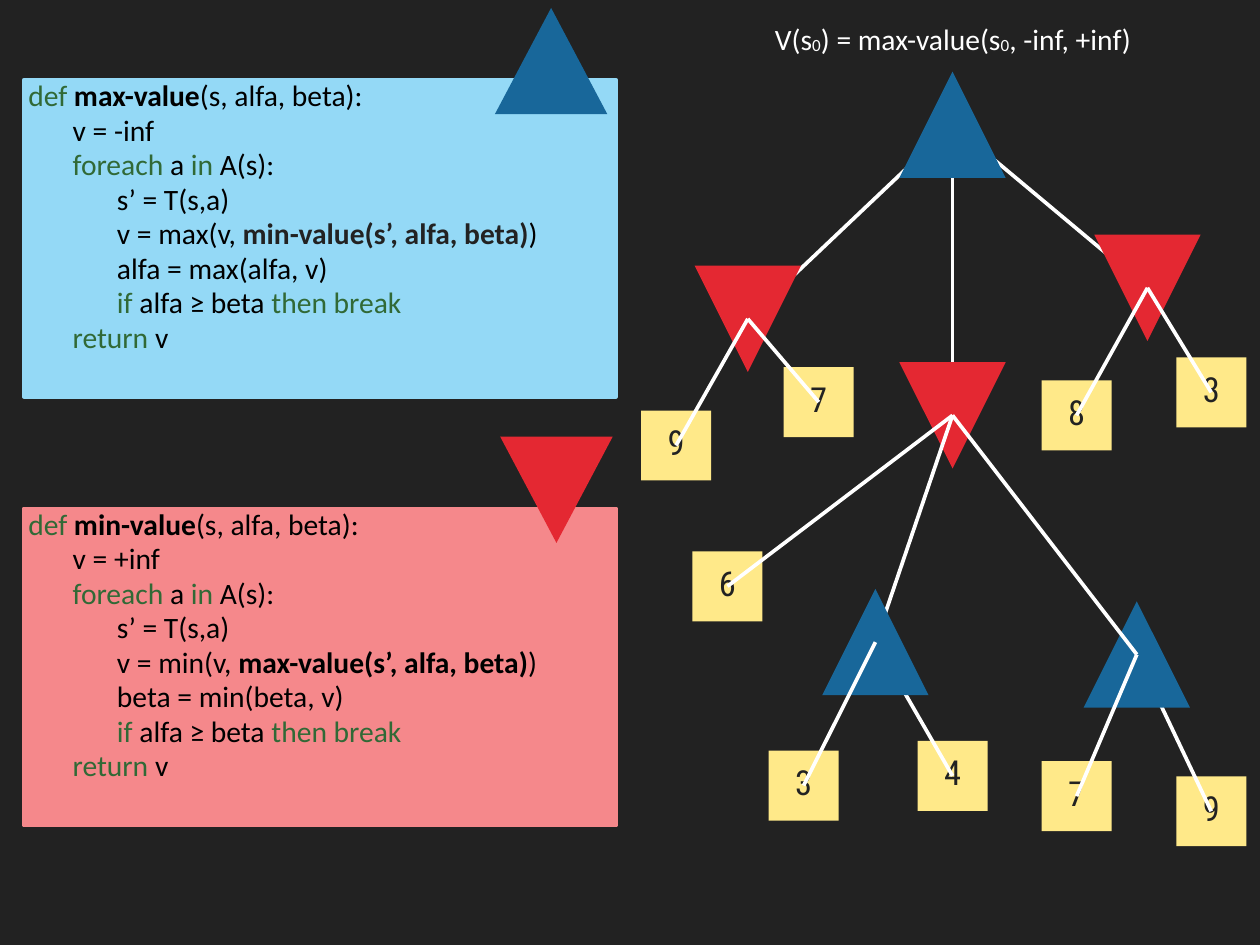
import pptx
import pptx.util
import pptx.dml.color
import pptx.enum.shapes
import pptx.enum.text
import pptx.oxml
from dataclasses import dataclass
from pptx.util import Inches


@dataclass(frozen=True)
class Theme:
    dark: str = "222222"
    white: str = "FFFFFF"
    black: str = "000000"
    keyword: str = "316936"
    max_panel: str = "94D9F6"
    min_panel: str = "F5888B"
    max_node: str = "18679A"
    min_node: str = "E42832"
    leaf: str = "FFE989"
    code_font: str = "Calibri"
    leaf_font: str = "Roboto Condensed"
    code_size: int = 24
    leaf_size: int = 28
    line_width: int = 3


T = Theme()
NODE_SIZE = 1.2
LEAF_SIZE = 0.79

# Tree nodes by centre point
MAX_NODES = {"root": (10.75, 1.41), "max_left": (9.88, 7.25), "max_right": (12.83, 7.39)}
MIN_NODES = {"min_left": (8.44, 3.6), "min_mid": (10.75, 4.69), "min_right": (12.95, 3.25)}
LEAVES = {
    "left_9": (7.63, 5.03), "left_7": (9.24, 4.54), "mid_6": (8.21, 6.62),
    "right_8": (12.15, 4.69), "right_3": (13.67, 4.43),
    "deep_3": (9.07, 8.87), "deep_4": (10.75, 8.76),
    "deep_7": (12.15, 8.99), "deep_9": (13.67, 9.16),
}
CENTRES = {**MAX_NODES, **MIN_NODES, **LEAVES}

# Edges by layer, from back to front
ROOT_EDGES = [("root", "min_mid"), ("min_left", "root"), ("root", "min_right")]
MIDDLE_EDGES = [
    ("min_right", "right_3"), ("min_left", "left_7"), ("left_9", "min_left"),
    ("max_left", "deep_4"), ("mid_6", "min_mid"), ("max_left", "min_mid"),
    ("right_8", "min_right"), ("max_right", "deep_9"),
]
FRONT_EDGES = [("deep_3", "max_left"), ("deep_7", "max_right"), ("min_mid", "max_right")]


def rgb(colour):
    return pptx.dml.color.RGBColor.from_string(colour)


def set_font(font, name, size, colour):
    font.name = name
    font.size = pptx.util.Pt(size)
    font.color.rgb = rgb(colour)


def set_frame(tf, inset):
    tf.word_wrap = True
    tf.margin_left = tf.margin_right = tf.margin_top = tf.margin_bottom = Inches(inset)


def add_centred(s, kind, x, y, w, h, fill):
    sp = s.shapes.add_shape(kind, Inches(x - w / 2), Inches(y - h / 2), Inches(w), Inches(h))
    sp.shadow.inherit = False
    sp.fill.solid()
    sp.fill.fore_color.rgb = rgb(fill)
    sp.line.fill.background()
    return sp


def add_triangle(s, x, y, fill, down=False, width=NODE_SIZE):
    kind = pptx.enum.shapes.MSO_SHAPE.ISOSCELES_TRIANGLE
    sp = add_centred(s, kind, x, y, width, NODE_SIZE, fill)
    sp.rotation = 180 if down else 0


def add_leaf(s, x, y, value):
    kind = pptx.enum.shapes.MSO_SHAPE.RECTANGLE
    tf = add_centred(s, kind, x, y, LEAF_SIZE, LEAF_SIZE, T.leaf).text_frame
    set_frame(tf, 0.06)
    tf.vertical_anchor = pptx.enum.text.MSO_ANCHOR.MIDDLE
    p = tf.paragraphs[0]
    p.text = value
    p.alignment = pptx.enum.text.PP_ALIGN.CENTER
    p.line_spacing = 0.8
    set_font(p.font, T.leaf_font, T.leaf_size, T.dark)


def add_edges(s, edges):
    for start, end in edges:
        points = [Inches(v) for v in CENTRES[start] + CENTRES[end]]
        line = s.shapes.add_connector(pptx.enum.shapes.MSO_CONNECTOR.STRAIGHT, *points)
        line.line.color.rgb = rgb(T.white)
        line.line.width = pptx.util.Pt(T.line_width)
        line._element.spPr.append(pptx.oxml.parse_xml(
            '<a:effectLst xmlns:a="http://schemas.openxmlformats.org/drawingml/2006/main"/>'))


def code_lines(name, start, call_colour):
    """Indent level and (text, colour, bold) runs of each line."""
    other, bound = ("min", "alfa") if name == "max" else ("max", "beta")

    def plain(text):
        return text, T.black, False

    def key(text):
        return text, T.keyword, False

    return [
        (0, [key("def "), (f"{name}-value", T.black, True), plain("(s, alfa, beta):")]),
        (1, [plain(f"v = {start}")]),
        (1, [key("foreach"), plain(" a "), key("in"), plain(" A(s):")]),
        (2, [plain("s’ = T(s,a)")]),
        (2, [plain(f"v = {name}(v, "),
             (f"{other}-value(s’, alfa, beta)", call_colour, True), plain(")")]),
        (2, [plain(f"{bound} = {name}({bound}, v)")]),
        (2, [key("if"), plain(" alfa ≥ beta "), key("then break")]),
        (1, [key("return"), plain(" v")]),
    ]


def add_code_panel(s, top, fill, lines):
    kind = pptx.enum.shapes.MSO_SHAPE.RECTANGLE
    sp = add_centred(s, kind, 3.61, top + 1.79, 6.68, 3.58, fill)
    sp.line.color.rgb = rgb(fill)
    sp.line.width = pptx.util.Pt(T.line_width)
    tf = sp.text_frame
    set_frame(tf, 0.05)
    tf.vertical_anchor = pptx.enum.text.MSO_ANCHOR.TOP
    for i, (level, runs) in enumerate(lines):
        p = tf.add_paragraph() if i else tf.paragraphs[0]
        p.level = level
        p.alignment = pptx.enum.text.PP_ALIGN.LEFT
        p.line_spacing = 0.8
        p.space_before = pptx.util.Pt(5 if i else 0)
        pPr = p._p.get_or_add_pPr()
        pPr.set("marL", str(Inches(0.5 * level)))
        pPr.set("indent", "0")
        set_font(p.font, T.code_font, T.code_size, T.black)
        for text, colour, bold in runs:
            r = p.add_run()
            r.text = text
            r.font.color.rgb = rgb(colour)
            r.font.bold = bold


def add_formula(s):
    box = s.shapes.add_textbox(Inches(8.26), Inches(0.26), Inches(4.99), Inches(0.54))
    set_frame(box.text_frame, 0.05)
    p = box.text_frame.paragraphs[0]
    p.alignment = pptx.enum.text.PP_ALIGN.CENTER
    p.line_spacing = 0.8
    set_font(p.font, T.code_font, T.code_size, T.white)
    for text in ("V(s", "0", ") = max-value(s", "0", ", -inf, +inf)"):
        r = p.add_run()
        r.text = text
        if text == "0":
            r._r.get_or_add_rPr().set("baseline", "-6000")


def main():
    prs = pptx.Presentation()
    prs.slide_width, prs.slide_height = Inches(14.22), Inches(10.67)
    s = prs.slides.add_slide(prs.slide_layouts[6])
    s.background.fill.solid()
    s.background.fill.fore_color.rgb = rgb(T.dark)

    # Pseudocode panels with their node markers
    add_code_panel(s, 0.9, T.max_panel, code_lines("max", "-inf", T.dark))
    add_triangle(s, 6.22, 0.69, T.max_node, width=1.27)
    add_code_panel(s, 5.74, T.min_panel, code_lines("min", "+inf", T.black))
    add_triangle(s, 6.28, 5.53, T.min_node, down=True, width=1.27)

    # Game tree, layered so that edges cross the right nodes
    add_edges(s, ROOT_EDGES)
    add_triangle(s, *MAX_NODES["root"], T.max_node)
    for name, centre in LEAVES.items():
        add_leaf(s, *centre, name[-1])
    for centre in MIN_NODES.values():
        add_triangle(s, *centre, T.min_node, down=True)
    add_edges(s, MIDDLE_EDGES)
    for name in ("max_left", "max_right"):
        add_triangle(s, *MAX_NODES[name], T.max_node)
    add_edges(s, FRONT_EDGES)

    # Initial call
    add_formula(s)
    prs.save("out.pptx")


if __name__ == "__main__":
    main()
